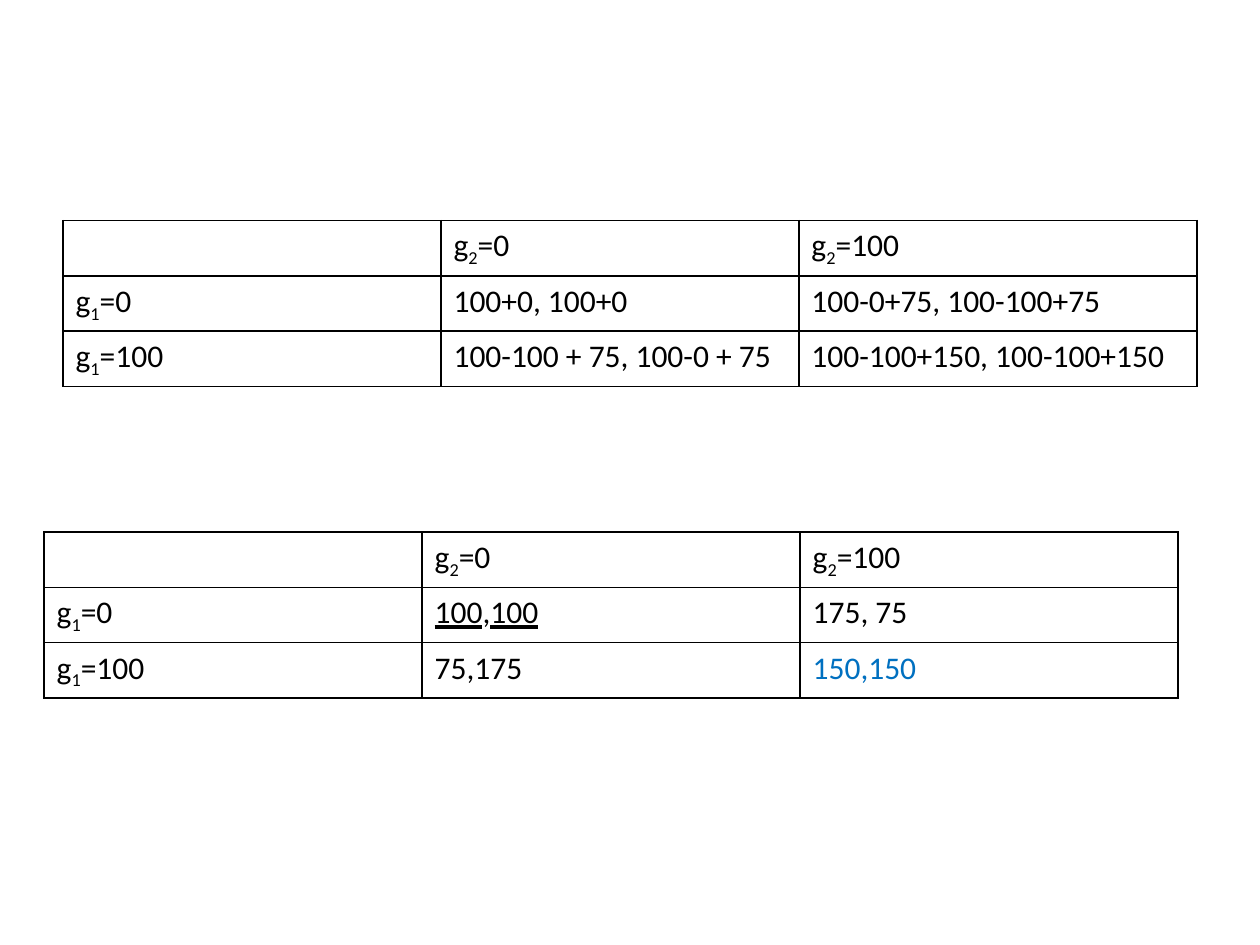
from pptx import Presentation
from pptx.util import Pt
from pptx.dml.color import RGBColor
from pptx.oxml import parse_xml
from pptx.oxml.ns import nsdecls

COLORS = {"black": "000000", "blue": "0070C0"}
FONT, SIZE, ROW_H = "Calibri", 18, 29.2


# Content: each cell is a list of (text, format) runs
def contribution(player, amount):
    return [("g", {}), (player, {"sub": True}), (f"={amount}", {})]


def plain(text, **fmt):
    return [(text, fmt)]


HEADER = [[], contribution("2", 0), contribution("2", 100)]
ROW_HEADS = [contribution("1", 0), contribution("1", 100)]
EQUILIBRIUM = [("100", {"underline": True}), (",", {}), ("100", {"underline": True})]

TABLES = [
    {"left": 36, "top": 126, "cols": [216, 204.5, 227.5], "payoffs": [
        [plain("100+0, 100+0"), plain("100-0+75, 100-100+75")],
        [plain("100-100 + 75, 100-0 + 75"), plain("100-100+150, 100-100+150")]]},
    {"left": 25.2, "top": 304, "cols": [216, 216, 216], "payoffs": [
        [EQUILIBRIUM, plain("175, 75")],
        [plain("75,175"), plain("150,150", color="blue")]]},
]


def add_run(p, text, color="black", sub=False, underline=False):
    r = p.add_run()
    r.text = text
    r.font.name, r.font.size = FONT, Pt(SIZE)
    r.font.color.rgb = RGBColor.from_string(COLORS[color])
    if underline:
        r.font.underline = True
    if sub:
        r.font._element.set("baseline", "-25000")


def add_borders(cell):
    # Border elements come before the fill in the cell properties
    tcPr = cell._tc.get_or_add_tcPr()
    for i, side in enumerate(("lnL", "lnR", "lnT", "lnB")):
        tcPr.insert(i, parse_xml(
            f'<a:{side} {nsdecls("a")} w="{Pt(1)}"><a:solidFill>'
            f'<a:srgbClr val="{COLORS["black"]}"/></a:solidFill></a:{side}>'))


def add_payoff_table(s, left, top, cols, payoffs):
    rows = [HEADER] + [[head] + row for head, row in zip(ROW_HEADS, payoffs)]
    table = s.shapes.add_table(len(rows), len(cols), Pt(left), Pt(top),
                               Pt(sum(cols)), Pt(ROW_H * len(rows))).table
    table.first_row = table.horz_banding = False
    for col, width in zip(table.columns, cols):
        col.width = Pt(width)
    for i, row in enumerate(rows):
        table.rows[i].height = Pt(ROW_H)
        for j, runs in enumerate(row):
            cell = table.cell(i, j)
            cell.fill.background()
            add_borders(cell)
            p = cell.text_frame.paragraphs[0]
            p.font.size = Pt(SIZE)
            for text, fmt in runs:
                add_run(p, text, **fmt)


# Slide
prs = Presentation()
prs.slide_width, prs.slide_height = Pt(720), Pt(540)
s = prs.slides.add_slide(prs.slide_layouts[6])
for spec in TABLES:
    add_payoff_table(s, **spec)
prs.save("out.pptx")
